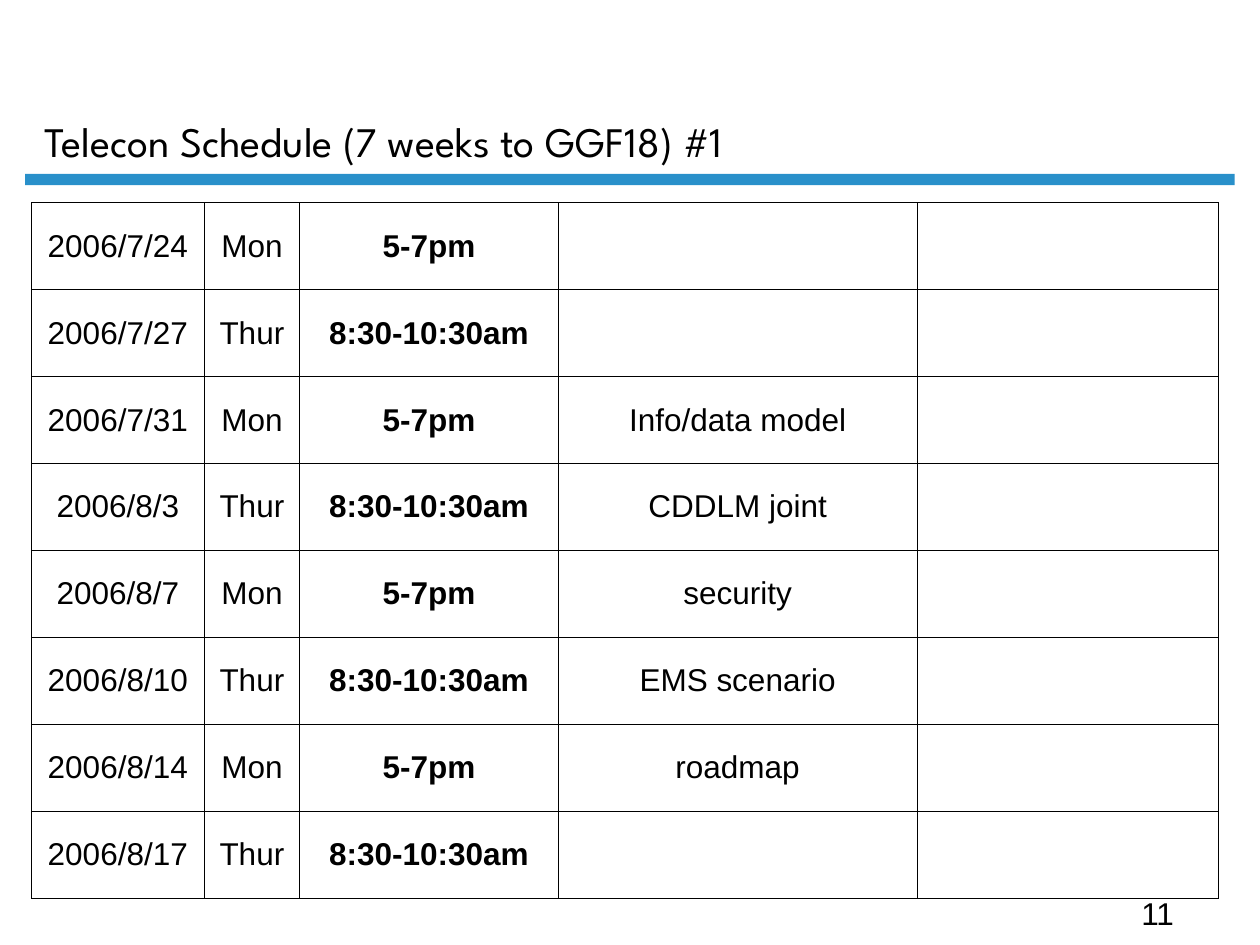
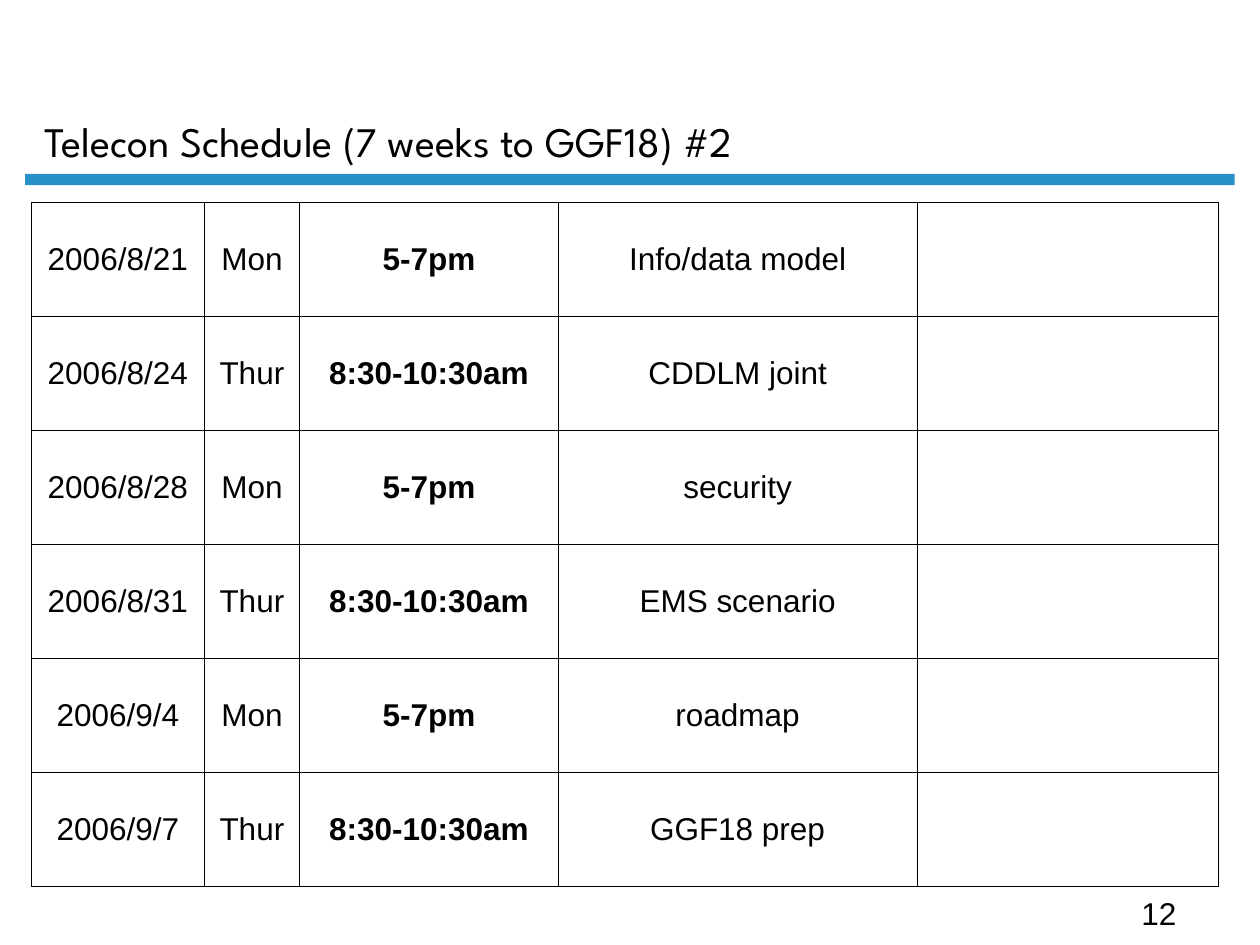
from itertools import cycle

from lxml.etree import SubElement
from pptx import Presentation
from pptx.dml.color import RGBColor
from pptx.enum.shapes import MSO_SHAPE
from pptx.enum.text import MSO_ANCHOR, PP_ALIGN
from pptx.oxml.ns import qn
from pptx.util import Inches, Pt

# Content: each topic list holds (date, topic); meetings alternate between two slots
SLOTS = [("Mon", "5-7pm"), ("Thur", "8:30-10:30am")]
SCHEDULES = [
    {
        "title": "Telecon Schedule (7 weeks to GGF18) #1",
        "page": 11,
        "height": 5.52,
        "meetings": [
            ("2006/7/24", ""),
            ("2006/7/27", ""),
            ("2006/7/31", "Info/data model"),
            ("2006/8/3", "CDDLM joint"),
            ("2006/8/7", "security"),
            ("2006/8/10", "EMS scenario"),
            ("2006/8/14", "roadmap"),
            ("2006/8/17", ""),
        ],
    },
    {
        "title": "Telecon Schedule (7 weeks to GGF18) #2",
        "page": 12,
        "height": 5.43,
        "meetings": [
            ("2006/8/21", "Info/data model"),
            ("2006/8/24", "CDDLM joint"),
            ("2006/8/28", "security"),
            ("2006/8/31", "EMS scenario"),
            ("2006/9/4", "roadmap"),
            ("2006/9/7", "GGF18 prep"),
        ],
    },
]

# Shared style
COLORS = {"text": "000000", "band": "2990CA", "border": "000000"}
TITLE_FONT, BODY_FONT = "League Spartan", "Arial"
COLUMN_WIDTHS = [1.37, 0.76, 2.05, 2.85, 2.39]
TIME_COLUMN = 2
BORDER_WIDTH = Pt(0.45)


def write(frame, text, font=BODY_FONT, size=18, bold=False,
          align=PP_ALIGN.LEFT, anchor=MSO_ANCHOR.TOP):
    frame.word_wrap = True
    frame.vertical_anchor = anchor
    paragraph = frame.paragraphs[0]
    paragraph.text = text
    paragraph.alignment = align
    paragraph.font.name = font
    paragraph.font.size = Pt(size)
    paragraph.font.bold = bold
    paragraph.font.color.rgb = RGBColor.from_string(COLORS["text"])


def draw_borders(cell):
    properties = cell._tc.get_or_add_tcPr()
    for side in ("a:lnL", "a:lnR", "a:lnT", "a:lnB"):
        line = SubElement(properties, qn(side), w=str(int(BORDER_WIDTH)))
        fill = SubElement(line, qn("a:solidFill"))
        SubElement(fill, qn("a:srgbClr"), val=COLORS["border"])


def add_frame(slide, title, page):
    # Title
    heading = slide.shapes.title
    heading.left, heading.top = Inches(0.25), Inches(0.12)
    heading.width, heading.height = Inches(8.56), Inches(1.25)
    write(heading.text_frame, title, font=TITLE_FONT, size=24,
          anchor=MSO_ANCHOR.BOTTOM)

    # Band under the title
    band = slide.shapes.add_shape(MSO_SHAPE.RECTANGLE, Inches(0.2),
                                  Inches(1.38), Inches(9.6), Inches(0.09))
    band.shadow.inherit = False
    band.fill.solid()
    band.fill.fore_color.rgb = RGBColor.from_string(COLORS["band"])
    band.line.fill.background()

    # Page number
    page_number = slide.shapes.add_textbox(Inches(8.96), Inches(7.05),
                                           Inches(1.04), Inches(0.4))
    write(page_number.text_frame, str(page))


def add_schedule(slide, meetings, height):
    schedule = slide.shapes.add_table(
        len(meetings), len(COLUMN_WIDTHS), Inches(0.25), Inches(1.61),
        Inches(sum(COLUMN_WIDTHS)), Inches(height)).table
    schedule.first_row = schedule.horz_banding = False
    for column, width in zip(schedule.columns, COLUMN_WIDTHS):
        column.width = Inches(width)

    for row, (date, topic), (day, time) in zip(schedule.rows, meetings, cycle(SLOTS)):
        row.height = Inches(height / len(meetings))
        for index, (cell, text) in enumerate(zip(row.cells, (date, day, time, topic, ""))):
            draw_borders(cell)
            cell.fill.background()
            cell.vertical_anchor = MSO_ANCHOR.MIDDLE
            write(cell.text_frame, text, bold=index == TIME_COLUMN,
                  align=PP_ALIGN.CENTER, anchor=MSO_ANCHOR.MIDDLE)


def main():
    deck = Presentation()
    deck.slide_width, deck.slide_height = Inches(10), Inches(7.5)
    title_only = deck.slide_layouts[5]
    for schedule in SCHEDULES:
        slide = deck.slides.add_slide(title_only)
        add_frame(slide, schedule["title"], schedule["page"])
        add_schedule(slide, schedule["meetings"], schedule["height"])
    deck.save("out.pptx")


if __name__ == "__main__":
    main()
